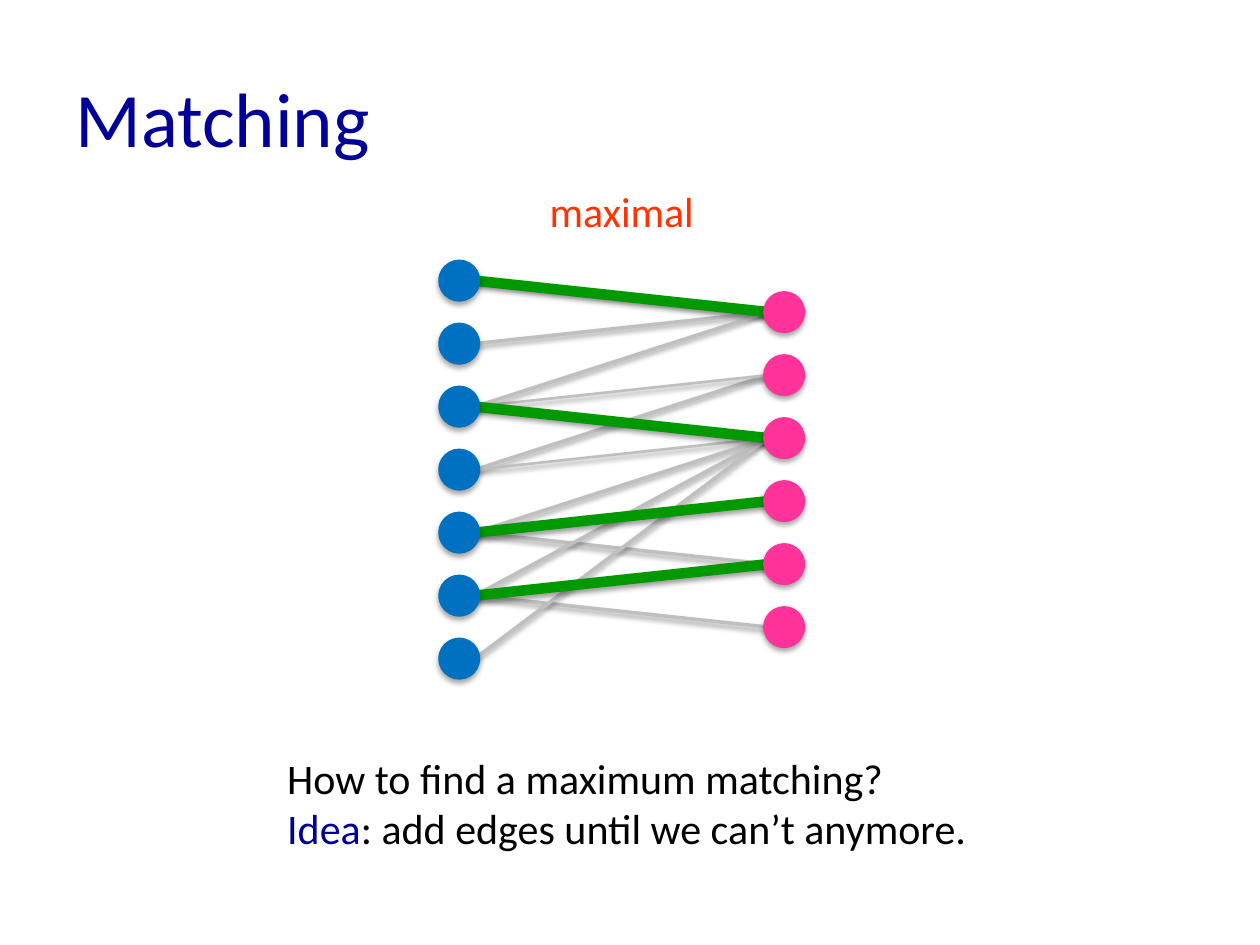
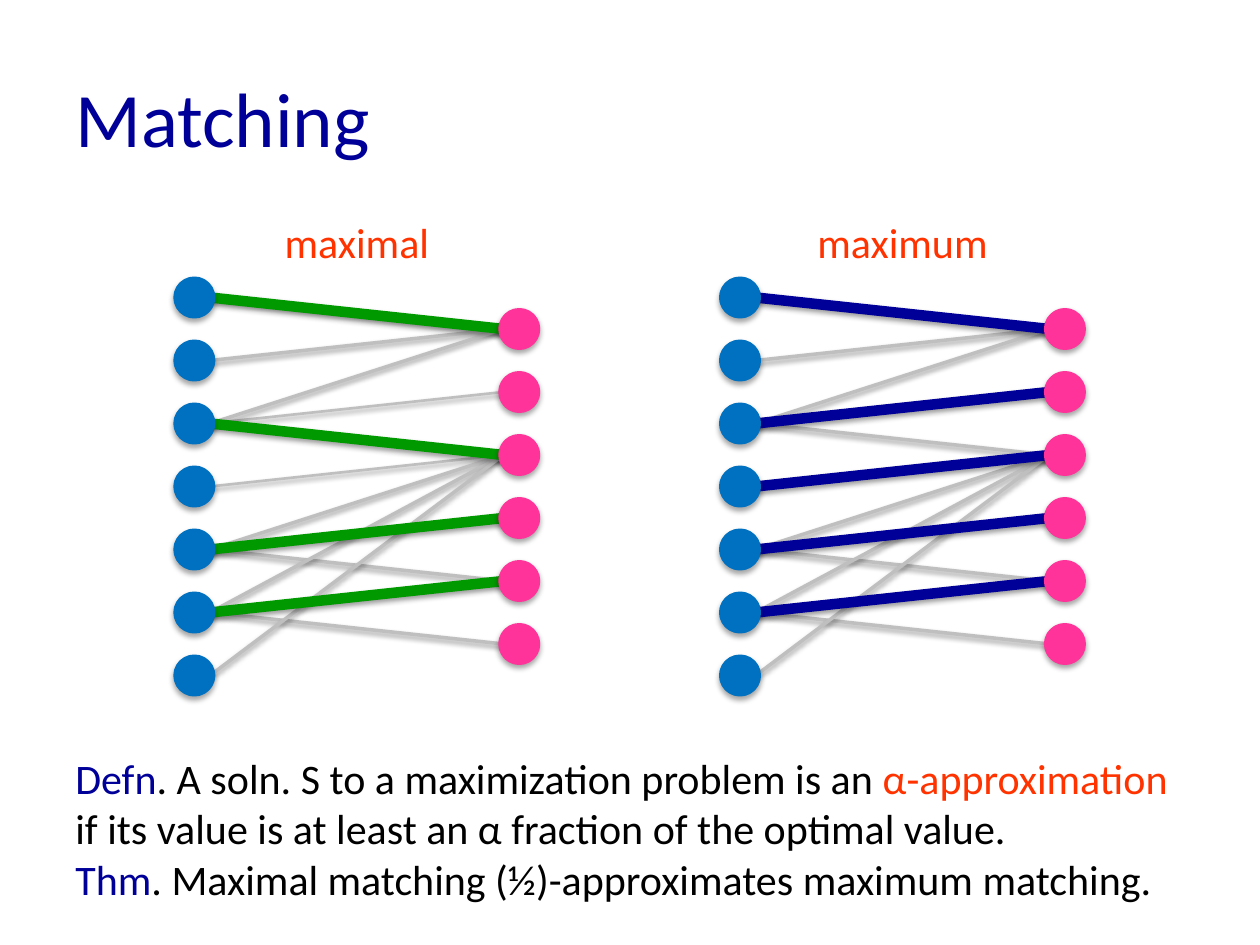
from lxml import etree
from pptx import Presentation
from pptx.dml.color import RGBColor
from pptx.enum.shapes import MSO_CONNECTOR, MSO_SHAPE
from pptx.enum.text import MSO_ANCHOR, MSO_AUTO_SIZE, PP_ALIGN
from pptx.oxml.ns import qn
from pptx.util import Cm, Pt

STRAIGHT = MSO_CONNECTOR.STRAIGHT
OVAL = MSO_SHAPE.OVAL
TOP, MIDDLE = MSO_ANCHOR.TOP, MSO_ANCHOR.MIDDLE
GROW, FIXED = MSO_AUTO_SIZE.SHAPE_TO_FIT_TEXT, MSO_AUTO_SIZE.NONE
LEFT, CENTER = PP_ALIGN.LEFT, PP_ALIGN.CENTER

NAVY, RED, GREEN, BLACK = "000099", "FF3300", "009900", "000000"
GRAY, BLUE, PINK = "BFBFBF", "0070C0", "FF3399"

NODE_SIZE, NODE_PITCH, COLUMN_GAP = 0.635, 1.27, 6.55
LEFT_COUNT, RIGHT_COUNT = 7, 6

SHARED_EDGES = [(1, 0), (2, 0), (4, 2), (5, 5), (4, 4), (5, 2), (6, 2)]
FINE_EDGES = [(2, 1), (3, 2), (0, 0)]
MAXIMAL_EDGES = [(2, 2), (5, 4), (4, 3), (0, 0)]
MAXIMUM_EDGES = [(0, 0), (3, 2), (5, 4), (4, 3), (2, 1)]


def color(value):
    """Turn a hex string into a colour."""
    return RGBColor.from_string(value)


def set_values(target, values):
    """Set each named attribute of the target."""
    for name, value in values.items():
        setattr(target, name, value)


def add_shadow(properties, distance, opacity):
    """Give shape properties a soft shadow that falls downwards."""
    effects = properties.find(qn("a:effectLst"))
    if effects is None:
        effects = etree.SubElement(properties, qn("a:effectLst"))
    shadow = etree.SubElement(
        effects, qn("a:outerShdw"), blurRad=str(Pt(3.1)), dist=str(Pt(distance)),
        dir="5400000", rotWithShape="0")
    shade = etree.SubElement(shadow, qn("a:srgbClr"), val=BLACK)
    etree.SubElement(shade, qn("a:alpha"), val=str(opacity * 1000))


class MatchingDeck:
    """Hold the deck style and the current slide."""

    font_name = "Calibri"

    def __init__(self):
        """Start an empty 4:3 presentation."""
        self.presentation = Presentation()
        set_values(self.presentation, {"slide_width": Cm(25.4), "slide_height": Cm(19.05)})
        self.slide = None

    def add_slide(self, title):
        """Start a blank slide with a title."""
        self.slide = self.presentation.slides.add_slide(self.presentation.slide_layouts[6])
        self.text((1.27, 0.76, 22.86, 3.18), [[(title, NAVY)]], size=44,
                  anchor=MIDDLE, auto_size=FIXED)

    def text(self, box, lines, size=24, align=LEFT, anchor=TOP, auto_size=GROW, wrap=True):
        """Add a text box whose lines are lists of (text, colour) pieces."""
        frame = self.slide.shapes.add_textbox(*map(Cm, box)).text_frame
        set_values(frame, {"word_wrap": wrap, "auto_size": auto_size, "vertical_anchor": anchor})
        for index, pieces in enumerate(lines):
            paragraph = frame.add_paragraph() if index else frame.paragraphs[0]
            paragraph.alignment = align
            for content, hue in pieces:
                run = paragraph.add_run()
                run.text = content
                set_values(run.font, {"name": self.font_name, "size": Pt(size)})
                run.font.color.rgb = color(hue)

    def node(self, left, top, hue):
        """Add a round graph node."""
        shape = self.slide.shapes.add_shape(OVAL, *map(Cm, (left, top, NODE_SIZE, NODE_SIZE)))
        shape.fill.solid()
        shape.fill.fore_color.rgb = color(hue)
        shape.line.color.rgb = color(hue)
        shape.line.width = Pt(6)
        shape.shadow.inherit = False
        add_shadow(shape._element.spPr, 1.8, 35)

    def edges(self, left, top, pairs, hue, width):
        """Join (left node, right node) pairs with lines."""
        for start, end in pairs:
            connector = self.slide.shapes.add_connector(
                STRAIGHT,
                Cm(left + NODE_SIZE), Cm(top + NODE_SIZE / 2 + start * NODE_PITCH),
                Cm(left + COLUMN_GAP), Cm(top + NODE_SIZE / 2 + (end + 0.5) * NODE_PITCH))
            connector.line.color.rgb = color(hue)
            connector.line.width = Pt(width)
            add_shadow(connector._element.spPr, 1.6, 38)

    def graph(self, left, top, label, label_top, layers):
        """Draw a labelled bipartite graph from (pairs, colour, width) layers."""
        for pairs, hue, width in layers:
            self.edges(left, top, pairs, hue, width)
        for row in range(LEFT_COUNT):
            self.node(left, top + row * NODE_PITCH, BLUE)
        for row in range(RIGHT_COUNT):
            self.node(left + COLUMN_GAP, top + (row + 0.5) * NODE_PITCH, PINK)
        self.text((left + 1.27, label_top, 4.65, 1.27), [[(label, RED)]], align=CENTER)


def main():
    """Build both slides and save them."""
    deck = MatchingDeck()
    maximal_layers = [(FINE_EDGES, GRAY, 1.5), (SHARED_EDGES, GRAY, 2),
                      (MAXIMAL_EDGES, GREEN, 6)]
    maximum_layers = [(SHARED_EDGES + [(2, 2)], GRAY, 2), (MAXIMUM_EDGES, NAVY, 6)]

    deck.add_slide("Matching")
    deck.graph(8.94, 5.34, "maximal", 3.61, [([(3, 1)], GRAY, 2)] + maximal_layers)
    deck.text((5.54, 15.04, 14.33, 2.31), [
        [("How to find a maximum matching?", BLACK)],
        [("Idea", NAVY), (": add edges until we can’t anymore.", BLACK)],
    ], wrap=False)

    deck.add_slide("Matching")
    deck.graph(14.6, 5.68, "maximum", 4.24, maximum_layers)
    deck.graph(3.6, 5.68, "maximal", 4.24, maximal_layers)
    deck.text((1.27, 15.04, 22.86, 3.33), [
        [("Defn", NAVY), (". A soln. S to a maximization problem is an ", BLACK),
         ("α-approximation", RED),
         (" if its value is at least an α fraction of the optimal value.", BLACK)],
        [("Thm", NAVY), (". Maximal matching (½)-approximates maximum matching.", BLACK)],
    ])

    deck.presentation.save("out.pptx")


if __name__ == "__main__":
    main()
